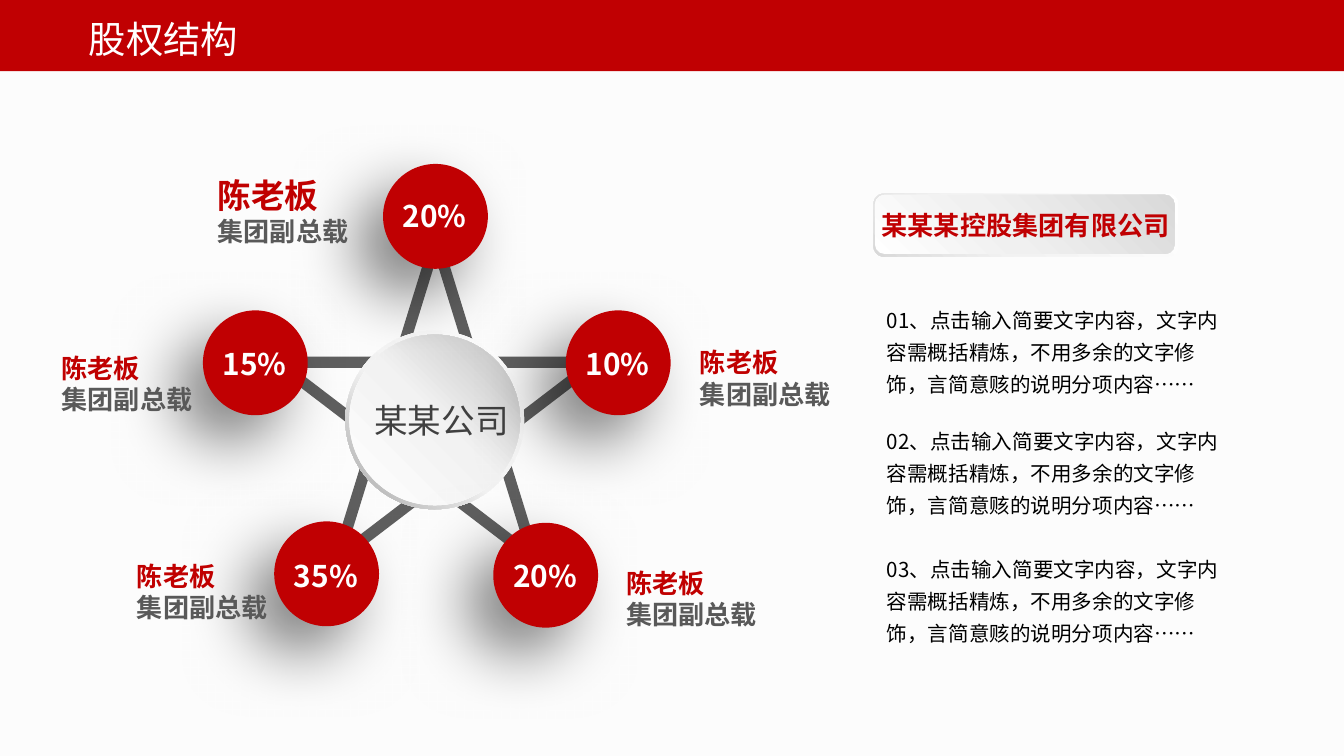
from dataclasses import dataclass

from lxml.etree import SubElement
from pptx import Presentation
from pptx.dml.color import RGBColor
from pptx.enum.shapes import MSO_SHAPE as Shape
from pptx.enum.text import MSO_ANCHOR as Anchor, MSO_AUTO_SIZE as AutoSize, PP_ALIGN as Align
from pptx.oxml.ns import qn
from pptx.util import Emu, Pt

# Content
TITLE = "股权结构"
COMPANY = "某某公司"
BANNER = "某某某控股集团有限公司"
NAME, ROLE = "陈老板", "集团副总载"
# share, circle left/top, share top, label left/top
HOLDERS = [
    ("20%", (285, 122), 147, (152, 125)),
    ("15%", (151, 231), 257, (36, 257)),
    ("10%", (421, 231), 257, (511, 253)),
    ("35%", (204, 388), 415, (92, 412)),
    ("20%", (367, 389), 415, (456, 417)),
]
NOTE = "点击输入简要文字内容，文字内容需概括精炼，不用多余的文字修饰，言简意赅的说明分项内容……"
NOTES = [("01", 219), ("02", 309), ("03", 404)]


@dataclass(frozen=True)
class Theme:
    font: str = "Noto Sans CJK SC"
    page: str = "FCFCFC"
    red: str = "C00002"
    name: str = "C00000"
    role: str = "595959"
    star: str = "5F5F5F"
    company: str = "404040"
    white: str = "FFFFFF"
    black: str = "000000"
    title_size: int = 20
    large: int = 18
    share_size: int = 16
    label: int = 14
    body: int = 11


THEME = Theme()
PX = 9144  # 100 px to the inch
CIRCLE = 78
SHARE_WIDTH, SHARE_HEIGHT = 73, 27


def px(*values):
    return [Emu(value * PX) for value in values]


def add_shape(shapes, kind, box, color=None):
    shape = shapes.add_shape(kind, *px(*box))
    shape.shadow.inherit = False
    shape.line.fill.background()
    if color:
        shape.fill.solid()
        shape.fill.fore_color.rgb = RGBColor.from_string(color)
    else:
        shape.fill.background()
    return shape


def add_gradient(shape, stops, clockwise):
    shape.fill.gradient()
    shape.fill.gradient_angle = 360 - clockwise
    stop_list = shape._element.spPr.find(".//" + qn("a:gsLst"))
    for stop in list(stop_list):
        stop_list.remove(stop)
    for percent, color in stops:
        stop = SubElement(stop_list, qn("a:gs"), pos=str(percent * 1000))
        SubElement(stop, qn("a:srgbClr"), val=color)


def add_shadow(shape):
    effects = shape._element.spPr.find(qn("a:effectLst"))
    shadow = SubElement(effects, qn("a:outerShdw"), blurRad=str(Pt(35)), dist=str(Pt(20)),
                        dir=str(135 * 60000), algn="tr", rotWithShape="0")
    color = SubElement(shadow, qn("a:srgbClr"), val=THEME.black)
    SubElement(color, qn("a:alpha"), val="50000")


def format_paragraph(paragraph, size, color, bold=False, align=Align.LEFT):
    paragraph.alignment = align
    font = paragraph.font
    font.name, font.size, font.bold = THEME.font, Pt(size), bold
    font.color.rgb = RGBColor.from_string(color)
    # Keep punctuation inside the text width
    paragraph._p.pPr.set("hangingPunct", "0")
    properties = paragraph._p.pPr.find(qn("a:defRPr"))
    SubElement(properties, qn("a:ea"), typeface=THEME.font)


def add_text(shapes, box, lines, wrap=True, insets=None, bold=False,
             align=Align.LEFT, spacing=None):
    """Each line is (text, size, color)."""
    frame = shapes.add_textbox(*px(*box)).text_frame
    frame.word_wrap = wrap
    frame.auto_size = AutoSize.SHAPE_TO_FIT_TEXT
    if insets:
        (frame.margin_left, frame.margin_top,
         frame.margin_right, frame.margin_bottom) = px(*insets)
    for index, (text, size, color) in enumerate(lines):
        paragraph = frame.add_paragraph() if index else frame.paragraphs[0]
        paragraph.text = text
        if spacing:
            paragraph.line_spacing = spacing
        format_paragraph(paragraph, size, color, bold, align)


presentation = Presentation()
presentation.slide_width = Emu(1000 * PX)
presentation.slide_height = Emu(1000 * PX * 9 // 16)
slide = presentation.slides.add_slide(presentation.slide_layouts[5])
shapes = slide.shapes
slide.background.fill.solid()
slide.background.fill.fore_color.rgb = RGBColor.from_string(THEME.page)

# Header bar with the title in front of it
bar = add_shape(shapes, Shape.RECTANGLE, (0, 0, 1000, 53), THEME.red)
title = shapes.title
bar._element.addnext(title._element)
title.left, title.top, title.width, title.height = px(56, 7, 389, 44)
title.text_frame.text = TITLE
title.text_frame.vertical_anchor = Anchor.TOP
format_paragraph(title.text_frame.paragraphs[0], THEME.title_size, THEME.white)

# Star
star = add_shape(shapes, Shape.STAR_5_POINT, (206, 179, 237, 237))
star.line.color.rgb = RGBColor.from_string(THEME.star)
star.line.width = Pt(6)

# Company hub
hub = shapes.add_group_shape().shapes
ring = add_shape(hub, Shape.DONUT, (257, 246, 133, 133))
ring.adjustments[0] = 0.05
add_gradient(ring, [(0, "FFFFFF"), (55, "F2F2F2"), (100, "A6A6A6")], 135)
disc = add_shape(hub, Shape.OVAL, (260, 249, 127, 127))
add_gradient(disc, [(0, "FFFFFF"), (51, "F2F2F2"), (100, "BFBFBF")], 315)
add_text(hub, (268, 293, 121, 40), [(COMPANY, THEME.large, THEME.company)],
         wrap=False, align=Align.CENTER)

# Shareholder circles, then their labels and shares
for share, circle_at, share_top, label_at in HOLDERS:
    add_shadow(add_shape(shapes, Shape.OVAL, (*circle_at, CIRCLE, CIRCLE), THEME.red))

for index, (share, (left, top), share_top, label_at) in enumerate(HOLDERS):
    name_size, label_height = (THEME.label, 57) if index else (THEME.large, 64)
    add_text(shapes, (*label_at, 118, label_height),
             [(NAME, name_size, THEME.name), (ROLE, THEME.label, THEME.role)],
             wrap=False, bold=True)
    share_left = left + (CIRCLE - SHARE_WIDTH) // 2
    add_text(shapes, (share_left, share_top, SHARE_WIDTH, SHARE_HEIGHT),
             [(share, THEME.share_size, THEME.white)],
             insets=(0, 0, 0, 0), bold=True, align=Align.CENTER)

# Company banner
banner = shapes.add_group_shape().shapes
frame_plate = add_shape(banner, Shape.ROUNDED_RECTANGLE, (650, 144, 227, 47))
add_gradient(frame_plate, [(0, "FFFFFF"), (62, "F2F2F2"), (100, "D9D9D9")], 135)
face_plate = add_shape(banner, Shape.ROUNDED_RECTANGLE, (651, 145, 223, 44))
add_gradient(face_plate, [(0, "FFFFFF"), (42, "F0F0F0"), (100, "D9D9D9")], 315)
add_text(banner, (651, 156, 250, 24), [(BANNER, THEME.label, THEME.red)],
         insets=(5, 0, 0, 0), bold=True)

# Numbered notes
for number, top in NOTES:
    add_text(shapes, (650, top, 276, 82), [(f"{number}、{NOTE}", THEME.body, THEME.black)],
             spacing=1.3)

presentation.save("out.pptx")
